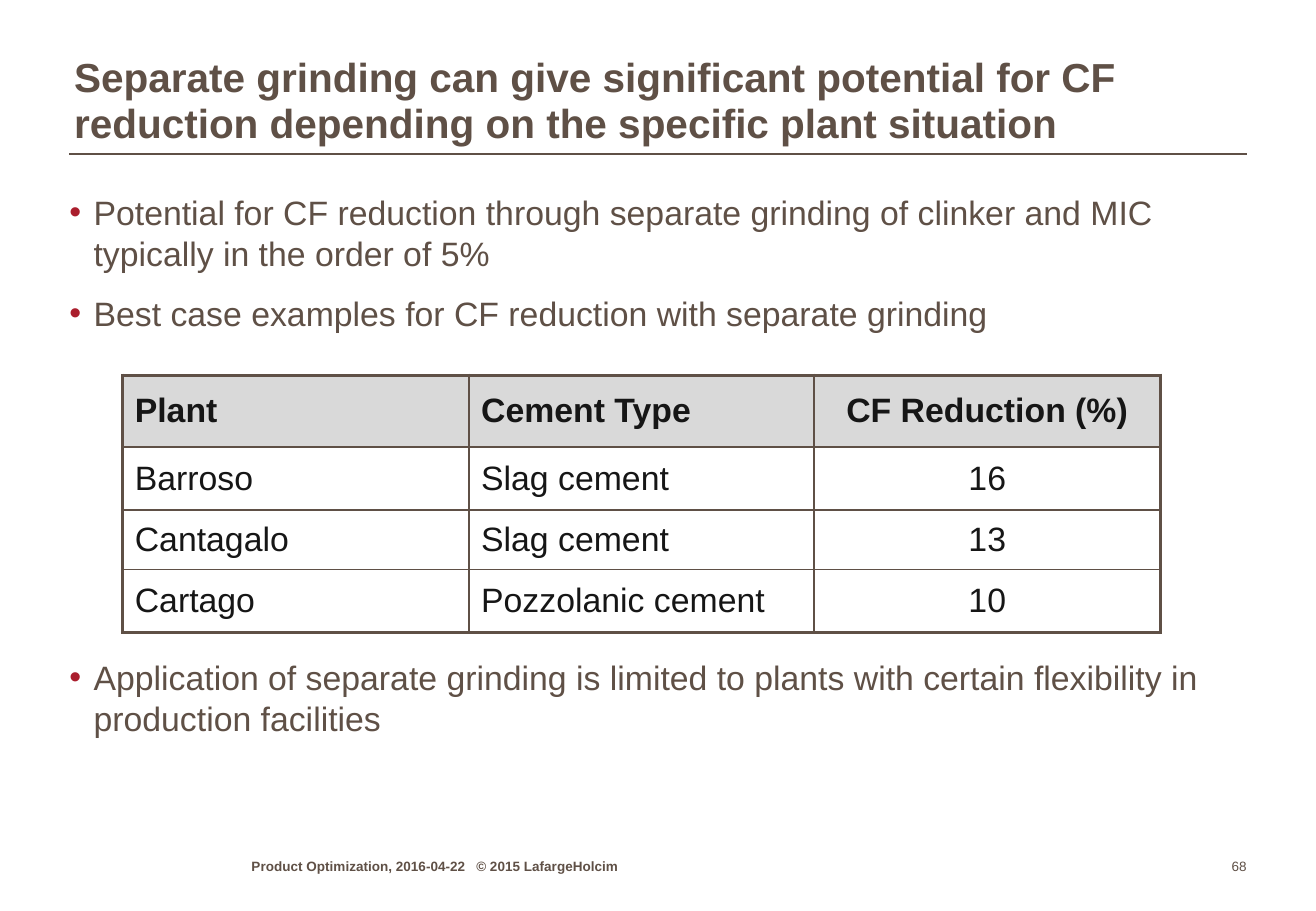
from dataclasses import dataclass

from lxml import etree
from pptx import Presentation
from pptx import util as u
from pptx.dml import color
from pptx.enum import shapes, text
from pptx.oxml import ns

In = u.Inches


@dataclass(frozen=True)
class Theme:
    font: str = "Arial"
    brown: str = "5F5046"
    red: str = "AA1E2D"
    black: str = "161616"
    grey: str = "D9D9D9"
    title: int = 24
    body: int = 20
    footer: int = 8
    outer: float = 2.25
    inner: float = 1


@dataclass(frozen=True)
class Block:
    box: tuple[float, float, float, float]
    paragraphs: tuple[str, ...]
    size: int
    bold: bool = False
    bullet: bool = False
    spacing: float = 1
    tab: float = 0
    wrap: bool = True
    anchor: text.MSO_ANCHOR = text.MSO_ANCHOR.TOP
    align: text.PP_ALIGN = text.PP_ALIGN.LEFT


T = Theme()
MIDDLE, BOTTOM = text.MSO_ANCHOR.MIDDLE, text.MSO_ANCHOR.BOTTOM
LEFT, CENTER, RIGHT = text.PP_ALIGN.LEFT, text.PP_ALIGN.CENTER, text.PP_ALIGN.RIGHT

BLOCKS = (
    Block((0.61, 0.41, 9.6, 0.86),
          ("Separate grinding can give significant potential for CF reduction "
           "depending on the specific plant situation",),
          T.title, bold=True, spacing=0.95, anchor=MIDDLE),
    Block((0.57, 1.58, 9.69, 1.2),
          ("Potential for CF reduction through separate grinding of clinker and MIC "
           "typically in the order of 5%",
           "Best case examples for CF reduction with separate grinding"),
          T.body, bullet=True),
    Block((0.57, 5.41, 9.69, 1.09),
          ("Application of separate grinding is limited to plants with certain "
           "flexibility in production facilities",),
          T.body, bullet=True),
    Block((2.07, 7.02, 3.47, 0.18),
          ("Product Optimization, 2016-04-22\t© 2015 LafargeHolcim",),
          T.footer, bold=True, tab=1.85, anchor=BOTTOM),
    Block((9.79, 7.02, 0.47, 0.18), ("68",), T.footer,
          wrap=False, anchor=BOTTOM, align=RIGHT),
)

COLUMNS = (2.85, 2.84, 2.85)
ROW_HEIGHTS = (0.59, 0.52, 0.49, 0.52)
ROWS = (
    ("Plant", "Cement Type", "CF Reduction (%)"),
    ("Barroso", "Slag cement", "16"),
    ("Cantagalo", "Slag cement", "13"),
    ("Cartago", "Pozzolanic cement", "10"),
)


def rgb(value: str) -> color.RGBColor:
    return color.RGBColor.from_string(value)


def add_xml(parent, tag: str, **attrs: str):
    return etree.SubElement(parent, ns.qn(tag), attrs)


def add_run(p, words: str, size: int, ink: str, bold: bool) -> None:
    r = p.add_run()
    r.text = words
    r.font.name, r.font.size, r.font.bold = T.font, u.Pt(size), bold
    r.font.color.rgb = rgb(ink)


def add_bullet(p) -> None:
    pPr = p._p.get_or_add_pPr()
    pPr.set("marL", str(In(0.2)))
    pPr.set("indent", str(-In(0.2)))
    add_xml(add_xml(pPr, "a:buClr"), "a:srgbClr", val=T.red)
    add_xml(pPr, "a:buFont", typeface=T.font)
    add_xml(pPr, "a:buChar", char="•")


def add_tab(p, position: float) -> None:
    tabs = add_xml(p._p.get_or_add_pPr(), "a:tabLst")
    add_xml(tabs, "a:tab", pos=str(In(position)), algn="l")


def add_block(s, block: Block) -> None:
    tf = s.shapes.add_textbox(*map(In, block.box)).text_frame
    tf.word_wrap = block.wrap
    tf.vertical_anchor = block.anchor
    tf.margin_left = tf.margin_top = tf.margin_right = tf.margin_bottom = 0
    for i, words in enumerate(block.paragraphs):
        p = tf.add_paragraph() if i else tf.paragraphs[0]
        p.alignment = block.align
        p.line_spacing = block.spacing
        if i:
            p.space_before = u.Pt(12)
        if block.bullet:
            add_bullet(p)
        if block.tab:
            add_tab(p, block.tab)
        add_run(p, words, block.size, T.brown, block.bold)


def add_borders(cell, row: int, col: int) -> None:
    """Draw the outer edges of the table thick and the inner ones thin."""
    on_edge = {
        "L": col == 0,
        "R": col == len(COLUMNS) - 1,
        "T": row == 0,
        "B": row == len(ROWS) - 1,
    }
    tcPr = cell._tc.get_or_add_tcPr()
    for side, outer in on_edge.items():
        width = u.Pt(T.outer if outer else T.inner)
        ln = add_xml(tcPr, f"a:ln{side}", w=str(width))
        add_xml(add_xml(ln, "a:solidFill"), "a:srgbClr", val=T.brown)


def add_plant_table(s) -> None:
    frame = s.shapes.add_table(len(ROWS), len(COLUMNS), In(1.01), In(3.09),
                               In(sum(COLUMNS)), In(sum(ROW_HEIGHTS)))
    table = frame.table
    for col, width in enumerate(COLUMNS):
        table.columns[col].width = In(width)
    for row, words in enumerate(ROWS):
        table.rows[row].height = In(ROW_HEIGHTS[row])
        for col, word in enumerate(words):
            cell = table.cell(row, col)
            cell.vertical_anchor = MIDDLE
            add_borders(cell, row, col)
            if row == 0:
                cell.fill.solid()
                cell.fill.fore_color.rgb = rgb(T.grey)
            else:
                cell.fill.background()
            p = cell.text_frame.paragraphs[0]
            p.alignment = CENTER if col == 2 else LEFT
            add_run(p, word, T.body, T.black, row == 0)


def add_title_rule(s) -> None:
    rule = s.shapes.add_connector(shapes.MSO_CONNECTOR.STRAIGHT,
                                  In(0.57), In(1.27), In(10.26), In(1.27))
    rule.line.color.rgb = rgb(T.brown)
    rule.line.width = u.Pt(T.inner)
    add_xml(rule._element.spPr, "a:effectLst")


def main() -> None:
    prs = Presentation()
    prs.slide_width, prs.slide_height = In(10.83), In(7.5)
    s = prs.slides.add_slide(prs.slide_layouts[6])
    add_title_rule(s)
    for block in BLOCKS:
        add_block(s, block)
    add_plant_table(s)
    prs.save("out.pptx")


if __name__ == "__main__":
    main()
